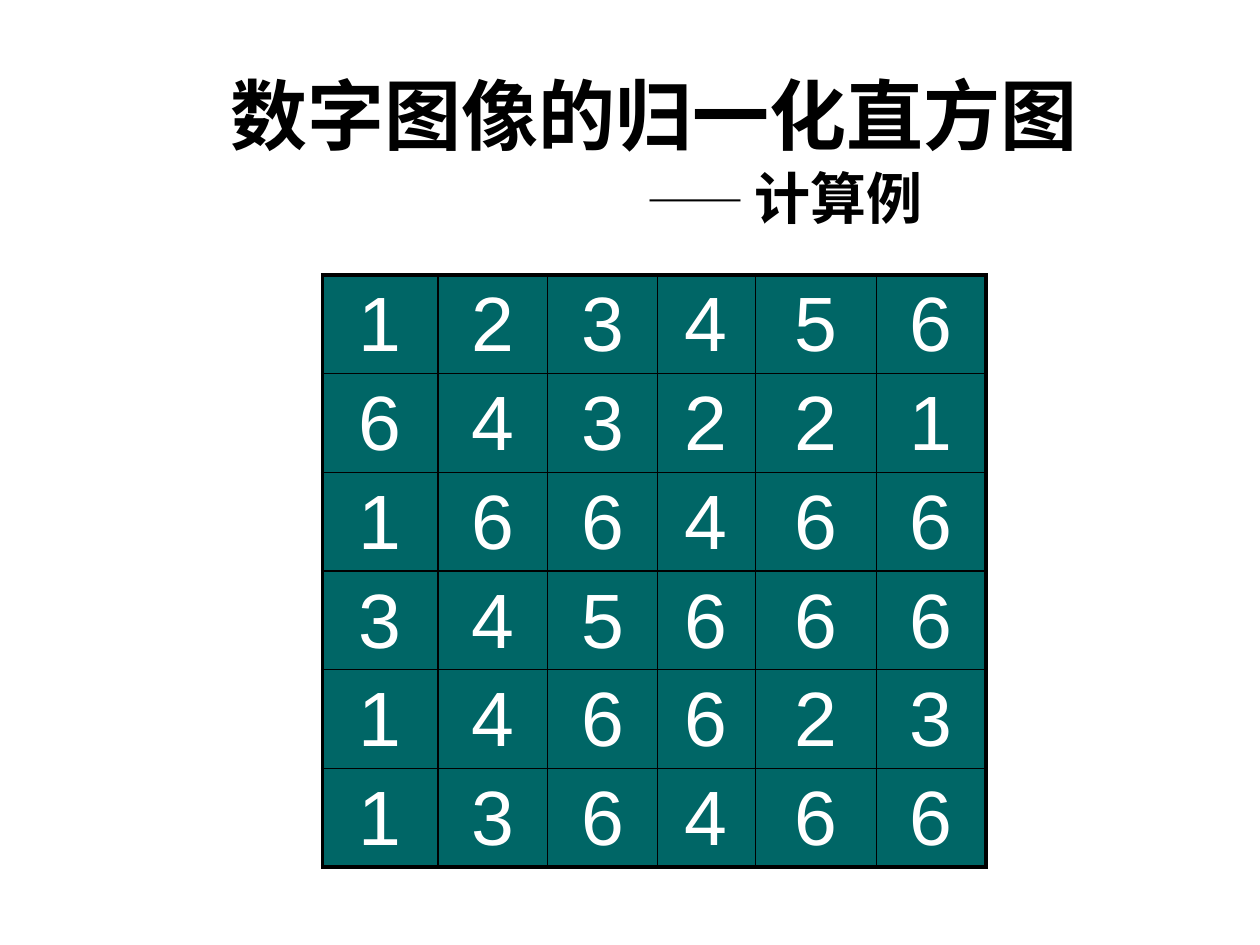
import pptx
import pptx.util
import pptx.dml.color
import pptx.enum.text
import pptx.oxml
import pptx.oxml.ns

Cm, Pt = pptx.util.Cm, pptx.util.Pt
ALIGN = pptx.enum.text.PP_ALIGN
ANCHOR = pptx.enum.text.MSO_ANCHOR
CJK, LATIN = "Noto Sans CJK SC", "Arial"
BLACK, WHITE, TEAL = "000000", "FFFFFF", "006666"
WIDTHS = [2.33, 2.21, 2.21, 1.98, 2.44, 2.21]
PIXELS = ["123456", "643221", "166466", "345666", "146623", "136466"]


def color(code):
    return pptx.dml.color.RGBColor.from_string(code)


def add_run(para, text, size, face, code, bold=False):
    run = para.add_run()
    run.text = text
    font = run.font
    font.size, font.name, font.bold = Pt(size), face, bold
    font.color.rgb = color(code)
    east = pptx.oxml.parse_xml(
        f'<a:ea {pptx.oxml.ns.nsdecls("a")} typeface="{face}"/>')
    font._element.append(east)


def add_edge(cell, side, width, code):
    cell._tc.get_or_add_tcPr().append(pptx.oxml.parse_xml(
        f'<a:ln{side} {pptx.oxml.ns.nsdecls("a")} w="{Pt(width)}">'
        f'<a:solidFill><a:srgbClr val="{code}"/></a:solidFill></a:ln{side}>'))


def set_title(slide, left, top, width, height):
    title = slide.shapes.title
    title.left, title.top = Cm(left), Cm(top)
    title.width, title.height = Cm(width), Cm(height)
    frame = title.text_frame
    frame.auto_size = pptx.enum.text.MSO_AUTO_SIZE.NONE
    frame.word_wrap = True
    frame.vertical_anchor = ANCHOR.MIDDLE

    head = frame.paragraphs[0]
    head.alignment = ALIGN.CENTER
    add_run(head, "数字图像的归一化直方图", 44, CJK, BLACK, True)

    # Subtitle, indented to the right half
    sub = frame.add_paragraph()
    sub.alignment = ALIGN.LEFT
    sub.space_before = Pt(0)
    sub.line_spacing = Pt(40)
    props = sub._p.get_or_add_pPr()
    props.set("marL", str(Cm(9.87)))
    props.set("indent", "0")
    add_run(sub, "—— ", 28, CJK, BLACK)
    add_run(sub, "计算例", 32, CJK, BLACK, True)


def add_grid(slide, left, top, pitch):
    rows, cols = len(PIXELS), len(WIDTHS)
    table = slide.shapes.add_table(
        rows, cols, Cm(left), Cm(top), Cm(sum(WIDTHS)), Cm(pitch * rows)).table
    table.first_row = table.horz_banding = False
    for col, width in zip(table.columns, WIDTHS):
        col.width = Cm(width)
    for r, line in enumerate(PIXELS):
        table.rows[r].height = Cm(pitch)
        for c, value in enumerate(line):
            cell = table.cell(r, c)
            cell.margin_top, cell.margin_bottom = Cm(0.15), Cm(0.05)
            # Thick outer frame, thin inner lines
            outer = {"L": c == 0, "R": c == cols - 1,
                     "T": r == 0, "B": r == rows - 1}
            for side, thick in outer.items():
                add_edge(cell, side, 2.25 if thick else 1, BLACK)
            cell.fill.solid()
            cell.fill.fore_color.rgb = color(TEAL)
            para = cell.text_frame.paragraphs[0]
            para.alignment = ALIGN.CENTER
            add_run(para, value, 44, LATIN, WHITE)


def main():
    deck = pptx.Presentation()
    deck.slide_width, deck.slide_height = Cm(25.4), Cm(19.05)
    slide = deck.slides.add_slide(deck.slide_layouts[5])
    set_title(slide, 2.9, 0.91, 20.6, 4.19)
    add_grid(slide, 6.5, 5.54, 1.99)
    deck.save("out.pptx")


if __name__ == "__main__":
    main()
